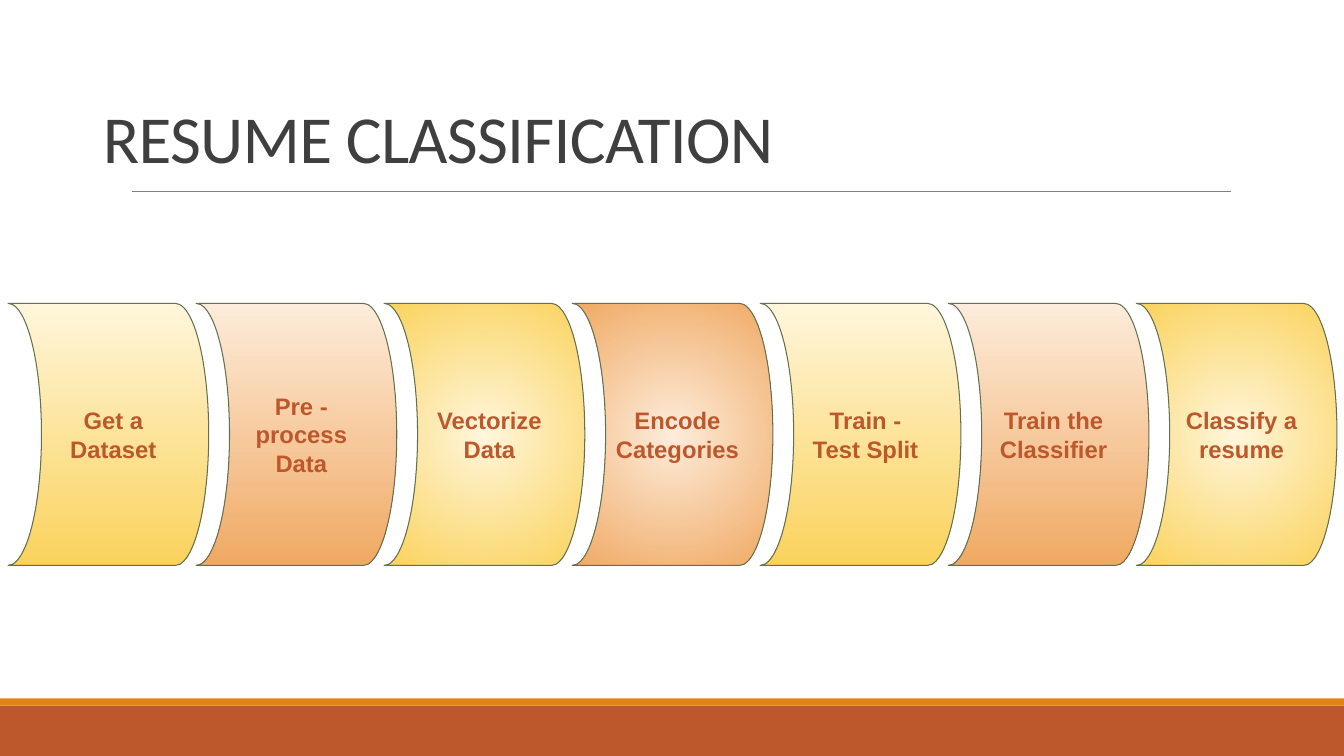
from lxml import etree
from pptx import Presentation
from pptx.dml.color import RGBColor
from pptx.enum.shapes import MSO_CONNECTOR, MSO_SHAPE
from pptx.enum.text import MSO_ANCHOR, PP_ALIGN
from pptx.oxml.ns import qn
from pptx.util import Inches, Pt

RECTANGLE = MSO_SHAPE.RECTANGLE
STEP_SHAPE = MSO_SHAPE.FLOWCHART_STORED_DATA
STRAIGHT = MSO_CONNECTOR.STRAIGHT
CENTER, LEFT = PP_ALIGN.CENTER, PP_ALIGN.LEFT
MIDDLE, BOTTOM = MSO_ANCHOR.MIDDLE, MSO_ANCHOR.BOTTOM

SLIDE_WIDTH, SLIDE_HEIGHT = 13.33, 7.5
TITLE_ONLY_LAYOUT = 5
STEP_LEFT, STEP_TOP, STEP_PITCH = 0.08, 3.01, 1.865
STEP_WIDTH, STEP_HEIGHT = 1.99, 2.6
RUST, ORANGE, GRAY, OLIVE, CHARCOAL = "BD582C", "E48312", "7F7F7F", "637052", "3F3F3F"
YELLOW_BLEND = ("FFF6DB", "FAD25C")
PEACH_BLEND = ("FDECDB", "F0A963")
STEPS = [
    ("Get a Dataset", YELLOW_BLEND, False),
    ("Pre - process Data", PEACH_BLEND, False),
    ("Vectorize Data", YELLOW_BLEND, True),
    ("Encode Categories", PEACH_BLEND, True),
    ("Train - Test Split", YELLOW_BLEND, False),
    ("Train the Classifier", PEACH_BLEND, False),
    ("Classify a resume", YELLOW_BLEND, True),
]


def set_color(color_format, hex_color):
    color_format.rgb = RGBColor.from_string(hex_color)


def set_margins(text_frame, left, top, right, bottom):
    text_frame.margin_left, text_frame.margin_top = Inches(left), Inches(top)
    text_frame.margin_right, text_frame.margin_bottom = Inches(right), Inches(bottom)


def format_text(text_frame, text, font_name, size, color, alignment, anchor, bold=False):
    text_frame.text = text
    text_frame.word_wrap = True
    text_frame.vertical_anchor = anchor
    paragraph = text_frame.paragraphs[0]
    paragraph.alignment = alignment
    font = paragraph.runs[0].font
    font.name, font.size, font.bold = font_name, Pt(size), bold
    set_color(font.color, color)
    return paragraph


def add_title(slide, text):
    title = slide.shapes.title
    title.left, title.top = Inches(0.92), Inches(0.36)
    title.width, title.height = Inches(11.5), Inches(1.45)
    set_margins(title.text_frame, 0.1, 0.05, 0.1, 0.05)
    paragraph = format_text(title.text_frame, text, "Calibri", 48, CHARCOAL, LEFT, BOTTOM)
    paragraph.line_spacing = 0.85
    paragraph.runs[0].font._element.set("spc", "-50")


def add_band(slide, top, height, color):
    band = slide.shapes.add_shape(
        RECTANGLE, 0, Inches(top), Inches(SLIDE_WIDTH), Inches(height))
    band.shadow.inherit = False
    band.fill.solid()
    set_color(band.fill.fore_color, color)
    band.line.fill.background()


def add_rule(slide, left, right, top):
    rule = slide.shapes.add_connector(
        STRAIGHT, Inches(left), Inches(top), Inches(right), Inches(top))
    set_color(rule.line.color, GRAY)
    rule.line.width = Pt(0.75)
    etree.SubElement(rule.element.spPr, qn("a:effectLst"))


def fill_gradient(shape, colors, radial):
    shape.fill.gradient()
    shape.fill.gradient_angle = 270
    for stop, color in zip(shape.fill.gradient_stops, colors):
        set_color(stop.color, color)
    if radial:
        gradient = shape.element.spPr.find(qn("a:gradFill"))
        gradient.remove(gradient.find(qn("a:lin")))
        circle = etree.SubElement(gradient, qn("a:path"))
        circle.set("path", "circle")
        center = etree.SubElement(circle, qn("a:fillToRect"))
        for side in "ltrb":
            center.set(side, "50000")


def add_step(slide, column, text, colors, radial):
    step = slide.shapes.add_shape(
        STEP_SHAPE, Inches(STEP_LEFT + column * STEP_PITCH), Inches(STEP_TOP),
        Inches(STEP_WIDTH), Inches(STEP_HEIGHT))
    step.shadow.inherit = False
    step.element.spPr.find(qn("a:xfrm")).set("flipH", "1")
    fill_gradient(step, colors, radial)
    set_color(step.line.color, OLIVE)
    step.line.width = Pt(0.75)
    set_margins(step.text_frame, 0.1, 0.1, 0, 0.1)
    format_text(step.text_frame, text, "Arial", 17, RUST, CENTER, MIDDLE, bold=True)


def main():
    presentation = Presentation()
    presentation.slide_width = Inches(SLIDE_WIDTH)
    presentation.slide_height = Inches(SLIDE_HEIGHT)
    slide = presentation.slides.add_slide(presentation.slide_layouts[TITLE_ONLY_LAYOUT])
    add_band(slide, 7, 0.5, RUST)
    add_band(slide, 6.93, 0.07, ORANGE)
    add_rule(slide, 1.31, 12.21, 1.9)
    for column, (text, colors, radial) in enumerate(STEPS):
        add_step(slide, column, text, colors, radial)
    add_title(slide, "RESUME CLASSIFICATION")
    presentation.save("out.pptx")


if __name__ == "__main__":
    main()
